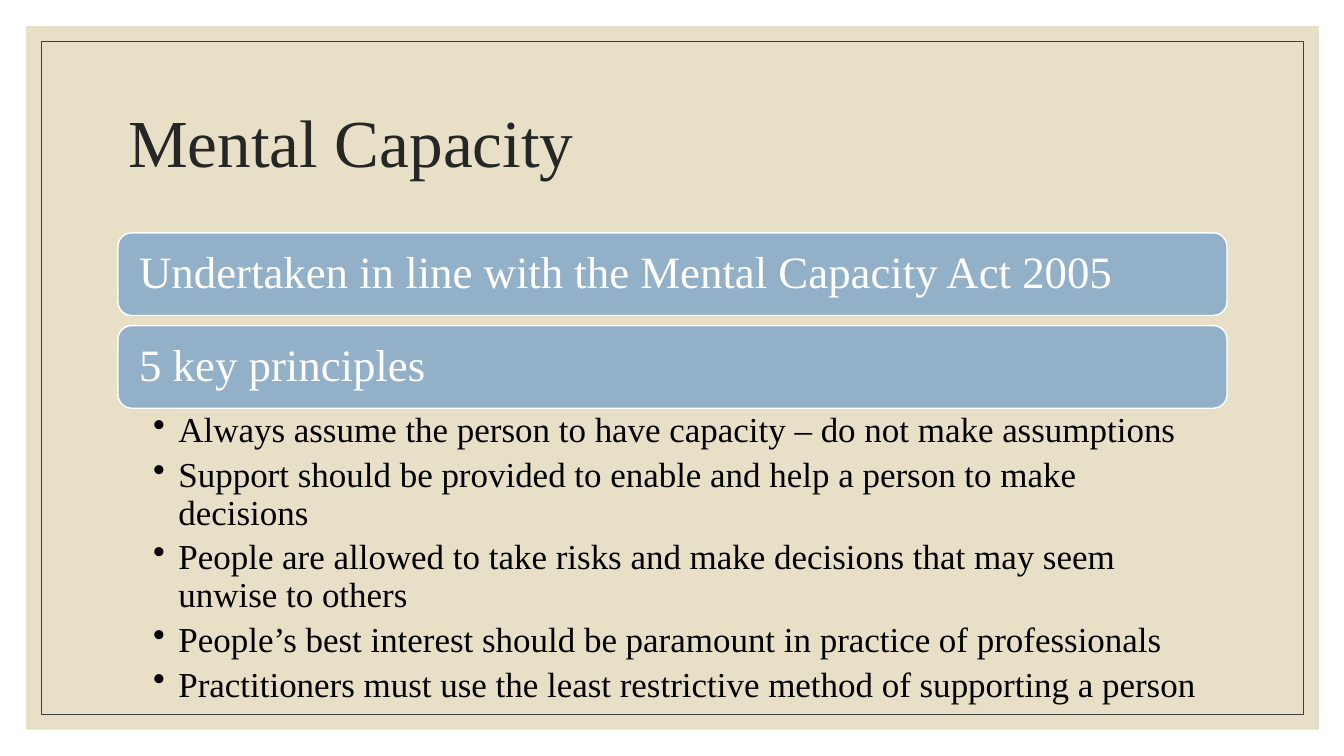
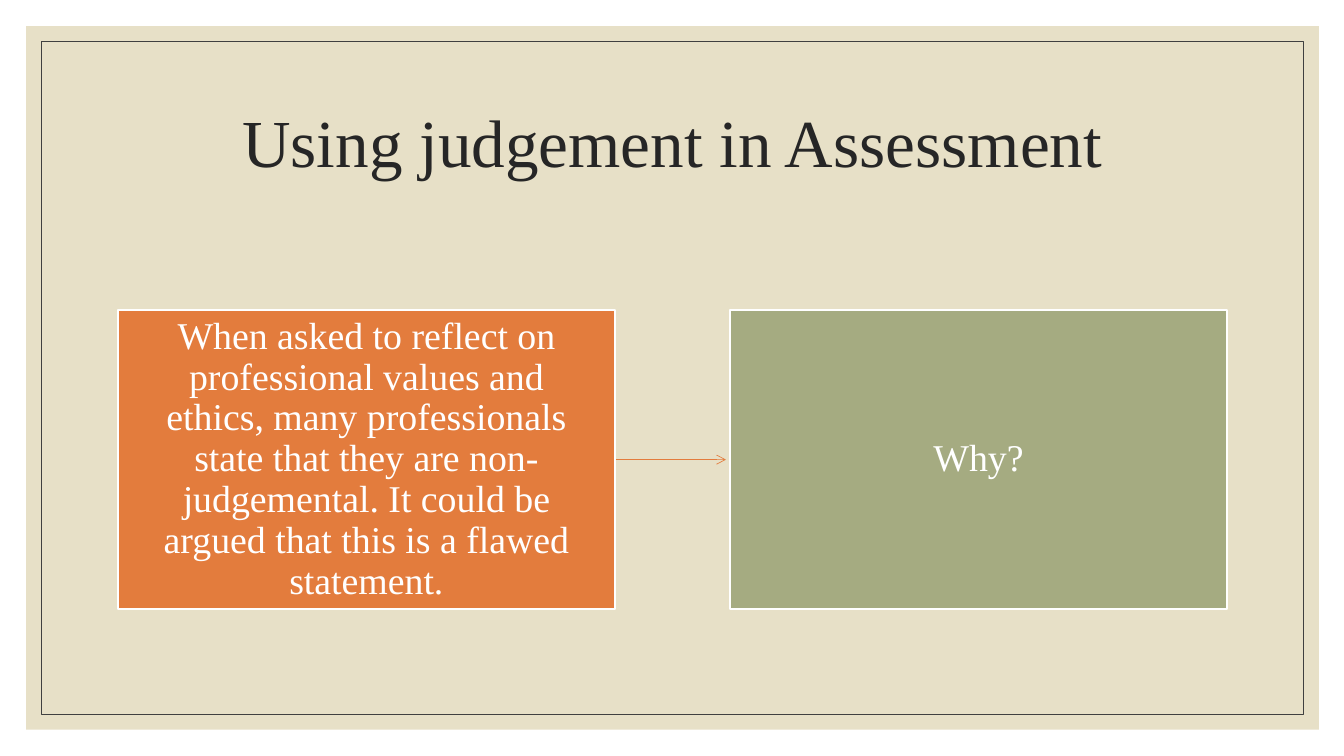
"""Build two slides on mental capacity and on judgement in assessment."""
import pptx
import pptx.dml.color
import pptx.enum.shapes
import pptx.enum.text
import pptx.oxml.ns
import pptx.util
from lxml import etree

PX = 9144
FONT = "Times New Roman"
COLORS = {
    "panel": "E7E0C7", "frame": "404040", "title": "262626", "white": "FFFFFF",
    "black": "000000", "blue": "92B0C8", "orange": "E37C3D", "green": "A5AB81",
}
SHAPE = pptx.enum.shapes.MSO_SHAPE
ALIGN = pptx.enum.text.PP_ALIGN
ANCHOR = pptx.enum.text.MSO_ANCHOR
LEFT, WIDTH = 117, 1100

BANNERS = ["Undertaken in line with the Mental Capacity Act 2005", "5 key principles"]
PRINCIPLES = [
    "Always assume the person to have capacity – do not make assumptions",
    "Support should be provided to enable and help a person to make decisions",
    "People are allowed to take risks and make decisions that may seem unwise to others",
    "People’s best interest should be paramount in practice of professionals",
    "Practitioners must use the least restrictive method of supporting a person",
]
REFLECTION = (
    "When asked to reflect on professional values and ethics, many professionals "
    "state that they are non-judgemental. It could be argued that this is a flawed statement."
)


def px(n):
    """Turn px into EMU."""
    return pptx.util.Emu(n * PX)


def rgb(name):
    """Look up a colour by name."""
    return pptx.dml.color.RGBColor.from_string(COLORS[name])


def set_all(obj, values):
    """Set each named attribute of an object."""
    for name, value in values.items():
        setattr(obj, name, value)


def add_child(parent, tag, **attrs):
    """Append a DrawingML element."""
    return etree.SubElement(parent, pptx.oxml.ns.qn(tag), attrs)


def write(tf, lines, size, color, align=ALIGN.LEFT, anchor=ANCHOR.MIDDLE,
          insets=(10, 5, 10, 5), bullet=False):
    """Fill a text frame with one paragraph per line."""
    sides = ("margin_left", "margin_top", "margin_right", "margin_bottom")
    set_all(tf, dict(zip(sides, map(px, insets))))
    set_all(tf, {"word_wrap": True, "vertical_anchor": anchor,
                 "auto_size": pptx.enum.text.MSO_AUTO_SIZE.NONE})
    for i, line in enumerate(lines):
        p = tf.add_paragraph() if i else tf.paragraphs[0]
        set_all(p, {"alignment": align, "line_spacing": 0.9,
                    "space_before": pptx.util.Pt(0)})
        if bullet:
            p.space_after = pptx.util.Pt(size * 0.2)
            pPr = p._p.get_or_add_pPr()
            set_all(pPr, {})
            pPr.set("marL", str(px(25)))
            pPr.set("indent", str(px(-25)))
            add_child(pPr, "a:buChar", char="•")
        r = p.add_run()
        r.text = line
        set_all(r.font, {"name": FONT, "size": pptx.util.Pt(size)})
        r.font.color.rgb = rgb(color)


def add_box(s, kind, box, fill=None, line=None, weight=1):
    """Add a preset shape with optional fill and outline."""
    sp = s.shapes.add_shape(kind, *map(px, box))
    sp.shadow.inherit = False
    if fill:
        sp.fill.solid()
        sp.fill.fore_color.rgb = rgb(fill)
    else:
        sp.fill.background()
    if line:
        sp.line.color.rgb = rgb(line)
        sp.line.width = pptx.util.Pt(weight)
    else:
        sp.line.fill.background()
    return sp


def add_arrow(s, x1, x2, y, color):
    """Add a thin horizontal arrow."""
    cxn = s.shapes.add_connector(
        pptx.enum.shapes.MSO_CONNECTOR.STRAIGHT, px(x1), px(y), px(x2), px(y))
    cxn.line.color.rgb = rgb(color)
    cxn.line.width = pptx.util.Pt(0.5)
    add_child(cxn.line._get_or_add_ln(), "a:tailEnd", type="arrow")
    add_child(cxn.element.spPr, "a:effectLst")


def add_backdrop(s):
    """Place the panel and its thin frame on the layout of a slide."""
    panel = add_box(s, SHAPE.RECTANGLE, (26, 26, 1282, 698), fill="panel")
    frame = add_box(s, SHAPE.RECTANGLE, (41, 41, 1252, 668), line="frame", weight=0.5)
    for i, sp in enumerate((panel, frame)):
        sp.element.nvSpPr.cNvPr.set("id", str(20 + i))
        s.slide_layout.shapes.element.insert(2 + i, sp.element)


def add_slide(prs, title, align):
    """Add a title-only slide."""
    s = prs.slides.add_slide(prs.slide_layouts[5])
    sp = s.shapes.title
    set_all(sp, dict(zip(("left", "top", "width", "height"),
                         map(px, (LEFT, 70, WIDTH, 150)))))
    write(sp.text_frame, [title], 48, "title", align)
    return s


def add_capacity(s):
    """Add the banners and the list of principles."""
    top, height, gap = 231, 82, 10
    for i, text in enumerate(BANNERS):
        box = (LEFT, top + i * (height + gap), WIDTH, height)
        sp = add_box(s, SHAPE.ROUNDED_RECTANGLE, box, "blue", "white")
        write(sp.text_frame, [text], 32, "white", insets=(17, 13, 17, 13))
    list_top = top + len(BANNERS) * (height + gap) - gap
    tb = s.shapes.add_textbox(*map(px, (LEFT, list_top, WIDTH, 254)))
    write(tb.text_frame, PRINCIPLES, 25, "black", anchor=ANCHOR.TOP,
          insets=(35, 4, 25, 4), bullet=True)


def add_judgement(s):
    """Add the statement, the question and the arrow between them."""
    top, width, height = 308, 493, 296
    right = LEFT + WIDTH - width
    add_arrow(s, LEFT + width, right - 4, top + height // 2, "orange")
    for x, fill, text in ((LEFT, "orange", REFLECTION), (right, "green", "Why?")):
        sp = add_box(s, SHAPE.RECTANGLE, (x, top, width, height), fill, "white", 1.5)
        write(sp.text_frame, [text], 27, "white", ALIGN.CENTER, insets=(24, 25, 24, 25))


def main():
    """Build and save the presentation."""
    prs = pptx.Presentation()
    set_all(prs, {"slide_width": px(1333), "slide_height": px(750)})
    s = add_slide(prs, "Mental Capacity", ALIGN.LEFT)
    add_backdrop(s)
    add_capacity(s)
    add_judgement(add_slide(prs, "Using judgement in Assessment", ALIGN.CENTER))
    prs.save("out.pptx")


if __name__ == "__main__":
    main()
